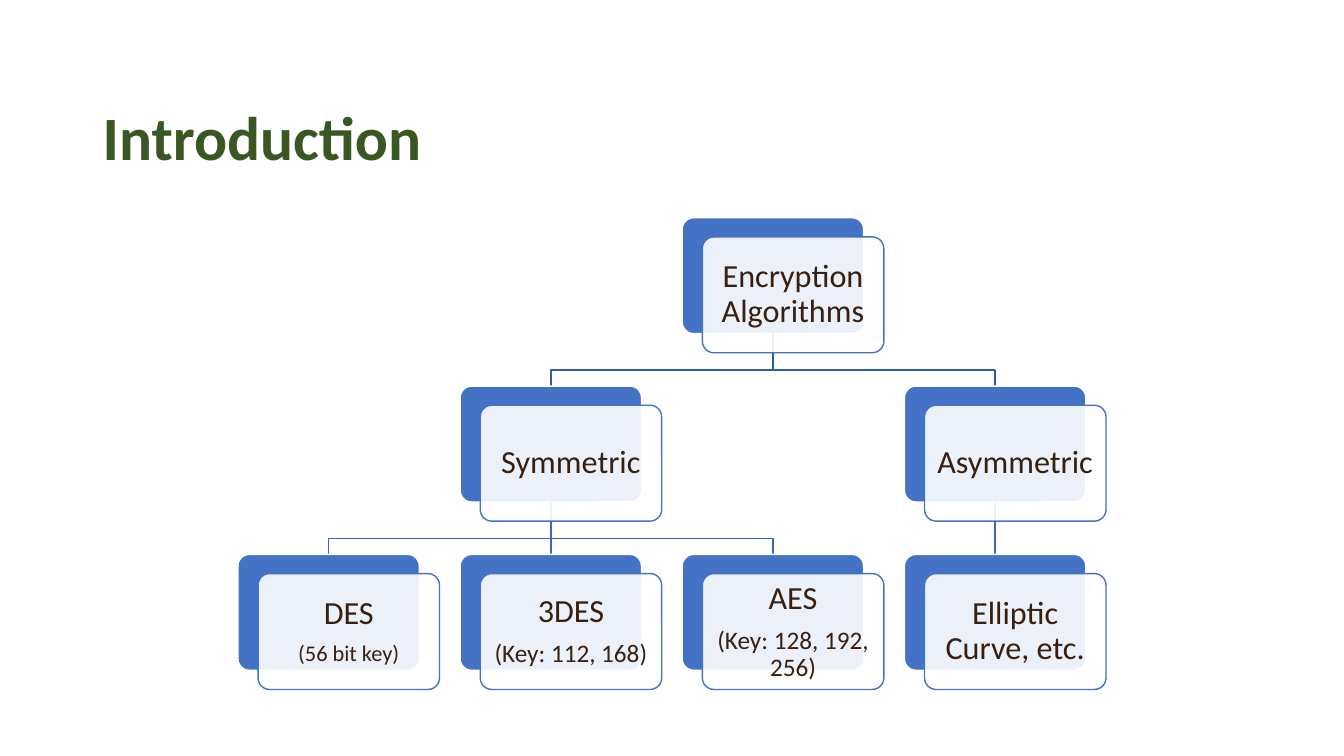
from dataclasses import dataclass
from lxml.etree import SubElement
from pptx import Presentation
from pptx.dml.color import RGBColor
from pptx.enum.shapes import MSO_CONNECTOR, MSO_SHAPE
from pptx.enum.text import MSO_ANCHOR, PP_ALIGN
from pptx.oxml.ns import qn
from pptx.util import Pt

PX = 9144  # EMU per px, 100 px to the inch


@dataclass(frozen=True)
class Theme:
    font: str = "Calibri"
    title_color: RGBColor = RGBColor(0x38, 0x57, 0x23)
    text_color: RGBColor = RGBColor(0x38, 0x20, 0x10)
    accent: RGBColor = RGBColor(0x44, 0x72, 0xC4)
    white: RGBColor = RGBColor(0xFF, 0xFF, 0xFF)
    level_lines: tuple = (RGBColor(0x36, 0x5B, 0x9D), RGBColor(0x3E, 0x67, 0xB2))
    title_size: int = 44
    node_size: int = 23


@dataclass(frozen=True)
class Node:
    column: int
    row: int
    name: str
    detail: str = ""
    detail_size: int = 18
    children: tuple = ()


THEME = Theme()
CARD_WIDTH, CARD_HEIGHT = 180, 115
SHIFT_X, SHIFT_Y = 20, 19
BEND = 36
COLUMNS, ROWS = 4, 3

ALGORITHMS = Node(2, 0, "Encryption Algorithms", children=(
    Node(1, 1, "Symmetric", children=(
        Node(0, 2, "DES", "(56 bit key)", 16),
        Node(1, 2, "3DES", "(Key: 112, 168)"),
        Node(2, 2, "AES", "(Key: 128, 192, 256)"),
    )),
    Node(3, 1, "Asymmetric", children=(Node(3, 2, "Elliptic Curve, etc."),)),
))


def emu(*lengths):
    return [round(length * PX) for length in lengths]


def style_paragraph(paragraph, text, size, color, bold=False):
    paragraph.text = text
    paragraph.line_spacing = 0.9
    paragraph.font.name = THEME.font
    paragraph.font.size = Pt(size)
    paragraph.font.bold = bold
    paragraph.font.color.rgb = color


def add_title(slide, box, text):
    frame = slide.shapes.add_textbox(*emu(*box)).text_frame
    frame.word_wrap = True
    frame.vertical_anchor = MSO_ANCHOR.MIDDLE
    style_paragraph(frame.paragraphs[0], text, THEME.title_size, THEME.title_color, bold=True)


def add_card(slide, left, top, fill, line):
    card = slide.shapes.add_shape(
        MSO_SHAPE.ROUNDED_RECTANGLE, *emu(left, top, CARD_WIDTH, CARD_HEIGHT))
    card.adjustments[0] = 0.1
    card.shadow.inherit = False
    card.fill.solid()
    card.fill.fore_color.rgb = fill
    card.line.color.rgb = line
    card.line.width = Pt(1)
    return card


def add_node(slide, left, top, node):
    """Draw a solid card and, shifted over it, a translucent card with the text."""
    add_card(slide, left, top, THEME.accent, THEME.white)
    front = add_card(slide, left + SHIFT_X, top + SHIFT_Y, THEME.white, THEME.accent)
    color = front.fill._xPr.find(qn("a:solidFill"))[0]
    SubElement(color, qn("a:alpha"), val="90000")

    frame = front.text_frame
    frame.word_wrap = True
    frame.vertical_anchor = MSO_ANCHOR.MIDDLE
    inset, = emu(9)
    frame.margin_left = frame.margin_right = inset
    frame.margin_top = frame.margin_bottom = inset
    style_paragraph(frame.paragraphs[0], node.name, THEME.node_size, THEME.text_color)
    if node.detail:
        frame.paragraphs[0].space_after = Pt(8)
        style_paragraph(frame.add_paragraph(), node.detail, node.detail_size, THEME.text_color)
    for paragraph in frame.paragraphs:
        paragraph.alignment = PP_ALIGN.CENTER


def add_link(slide, start, end, color):
    """Join two points with a straight line, or a bent one if they differ across."""
    if start[0] == end[0]:
        link = slide.shapes.add_connector(MSO_CONNECTOR.STRAIGHT, *emu(*start, *end))
        SubElement(link._element.spPr, qn("a:effectLst"))
    else:
        bend = start[1] + BEND
        builder = slide.shapes.build_freeform(*emu(*start))
        corners = [(start[0], bend), (end[0], bend), end]
        builder.add_line_segments([emu(*corner) for corner in corners], close=False)
        link = builder.convert_to_shape()
        link.shadow.inherit = False
        link.fill.background()
    link.line.color.rgb = color
    link.line.width = Pt(1)


def add_tree(slide, box, root):
    left, top, width, height = box
    column_pitch = (width - CARD_WIDTH - SHIFT_X) / (COLUMNS - 1)
    row_pitch = (height - CARD_HEIGHT - SHIFT_Y) / (ROWS - 1)

    def corner(node):
        return left + node.column * column_pitch, top + node.row * row_pitch

    def add_links(parent):
        x, y = corner(parent)
        for child in parent.children:
            add_links(child)
            child_x, child_y = corner(child)
            add_link(slide, (x + CARD_WIDTH / 2, y + CARD_HEIGHT),
                     (child_x + CARD_WIDTH / 2, child_y), THEME.level_lines[parent.row])

    def add_nodes(node):
        add_node(slide, *corner(node), node)
        for child in node.children:
            add_nodes(child)

    add_links(root)
    add_nodes(root)


def main():
    presentation = Presentation()
    presentation.slide_width, presentation.slide_height = emu(1333, 750)
    slide = presentation.slides.add_slide(presentation.slide_layouts[6])
    add_title(slide, (92, 67, 1150, 145), "Introduction")
    add_tree(slide, (236, 216, 861, 468), ALGORITHMS)
    presentation.save("out.pptx")


if __name__ == "__main__":
    main()
